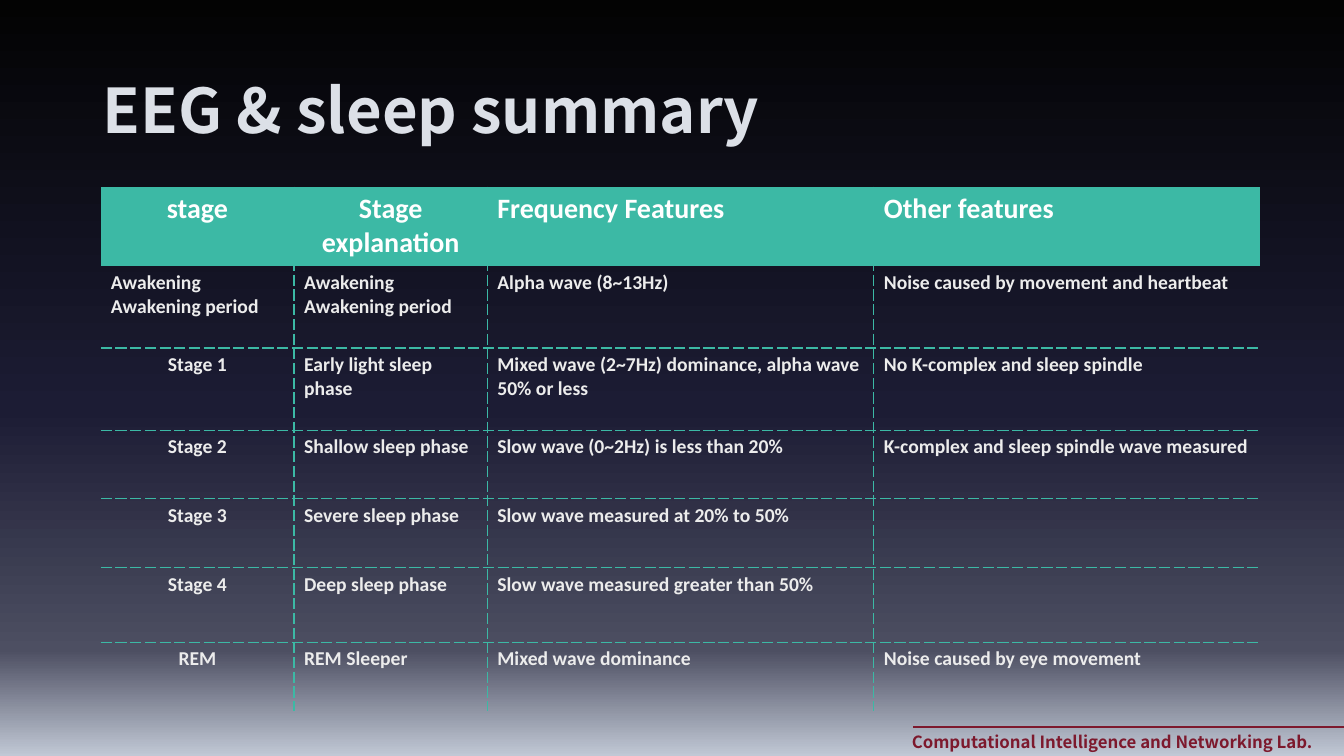
import pptx
import pptx.dml.color
import pptx.enum.shapes
import pptx.enum.text
import pptx.oxml
import pptx.oxml.ns
import pptx.util

Cm = pptx.util.Cm
Pt = pptx.util.Pt
qn = pptx.oxml.ns.qn
ALIGN = pptx.enum.text.PP_ALIGN
HUES = {"teal": "3CB9A5", "white": "FFFFFF", "body": "ECECEC",
        "title": "DCE0E7", "wine": "7D192D"}
SKY = [(0, "030303"), (54, "1C1C34"), (86, "4D4F62"), (100, "C1C8D5")]
SANS = "Noto Sans CJK KR"
NO_GRID = "{2D5ABB26-0587-4C30-8999-92F81FD0307C}"
WIDTHS = [4.87, 4.87, 9.74, 9.74]
HEIGHTS = [2, 2.07, 2.07, 1.73, 1.73, 1.88, 1.73]
WAKE = "Awakening\vAwakening period"
ROWS = [
    ["stage", "Stage explanation", "Frequency Features", "Other features"],
    [WAKE, WAKE, "Alpha wave (8~13Hz)", "Noise caused by movement and heartbeat"],
    ["Stage 1", "Early light sleep phase",
     "Mixed wave (2~7Hz) dominance, alpha wave 50% or less",
     "No K-complex and sleep spindle"],
    ["Stage 2", "Shallow sleep phase", "Slow wave (0~2Hz) is less than 20%",
     "K-complex and sleep spindle wave measured"],
    ["Stage 3", "Severe sleep phase", "Slow wave measured at 20% to 50%", ""],
    ["Stage 4", "Deep sleep phase", "Slow wave measured greater than 50%", ""],
    ["REM", "REM Sleeper", "Mixed wave dominance", "Noise caused by eye movement"],
]


def color(name):
    return pptx.dml.color.RGBColor.from_string(HUES[name])


def write(frame, text, size=14, hue="body", face="Calibri", align=ALIGN.LEFT):
    frame.word_wrap = True
    frame.text = text
    para = frame.paragraphs[0]
    para.alignment = align
    for run in para.runs:
        run.font.size = Pt(size)
        run.font.bold = True
        run.font.name = face
        run.font.color.rgb = color(hue)
    return para


def xml(tag, body):
    space = pptx.oxml.ns.nsdecls("a")
    return pptx.oxml.parse_xml(f"<a:{tag} {space}>{body}</a:{tag}>")


def paint(slide):
    fill = slide.background.fill
    fill.gradient()
    fill.gradient_angle = 270
    stops = next(slide.element.iter(qn("a:gsLst")))
    for stop in list(stops):
        stops.remove(stop)
    for place, hue in SKY:
        stop = xml("gs", f'<a:srgbClr val="{hue}"/>')
        stop.set("pos", str(place * 1000))
        stops.append(stop)


def edge(cell, sides):
    props = cell._tc.get_or_add_tcPr()
    for spot, side in enumerate(sides):
        line = xml("ln" + side, f'<a:solidFill><a:srgbClr val="{HUES["teal"]}"/>'
                   '</a:solidFill><a:prstDash val="sysDash"/>')
        line.set("w", str(Pt(1)))
        props.insert(spot, line)


def add_title(slide):
    title = slide.shapes.title
    title.left, title.top, title.width, title.height = map(Cm, (2.34, 1.02, 29.21, 3.68))
    para = write(title.text_frame, "EEG & sleep summary", size=44, hue="title", face=SANS)
    para.line_spacing = 0.9
    title.text_frame.vertical_anchor = pptx.enum.text.MSO_ANCHOR.MIDDLE


def add_grid(slide):
    last, end = len(ROWS) - 1, len(WIDTHS) - 1
    frame = slide.shapes.add_table(last + 1, end + 1, Cm(2.54), Cm(4.7),
                                   Cm(sum(WIDTHS)), Cm(sum(HEIGHTS)))
    table = frame.table
    table.horz_banding = False
    next(frame.element.iter(qn("a:tableStyleId"))).text = NO_GRID
    for col, width in zip(table.columns, WIDTHS):
        col.width = Cm(width)
    for r, (row, height) in enumerate(zip(ROWS, HEIGHTS)):
        table.rows[r].height = Cm(height)
        for c, text in enumerate(row):
            cell = table.cell(r, c)
            if r == 0:
                cell.fill.solid()
                cell.fill.fore_color.rgb = color("teal")
            else:
                cell.fill.background()
            mid = c == 0 and text != WAKE or (r, c) == (0, 1)
            write(cell.text_frame, text, size=14 if r else 20,
                  hue="body" if r else "white",
                  align=ALIGN.CENTER if mid else ALIGN.LEFT)
            shown = {"L": c > 0, "R": c < end, "T": r > 0, "B": r < last}
            edge(cell, [side for side, on in shown.items() if on])


def add_foot(slide):
    box = slide.shapes.add_textbox(Cm(22.73), Cm(18.31), Cm(10.9), Cm(0.76))
    write(box.text_frame, "Computational Intelligence and Networking Lab.",
          size=12, hue="wine", face=SANS)
    rule = slide.shapes.add_connector(pptx.enum.shapes.MSO_CONNECTOR.STRAIGHT,
                                      Cm(33.87), Cm(18.31), Cm(23.01), Cm(18.31))
    rule.line.color.rgb = color("wine")
    rule.line.width = Pt(1.25)
    rule.element.spPr.append(xml("effectLst", ""))


def main():
    deck = pptx.Presentation()
    deck.slide_width, deck.slide_height = Cm(33.87), Cm(19.05)
    slide = deck.slides.add_slide(deck.slide_layouts[5])
    paint(slide)
    add_foot(slide)
    add_title(slide)
    add_grid(slide)
    deck.save("out.pptx")


if __name__ == "__main__":
    main()
